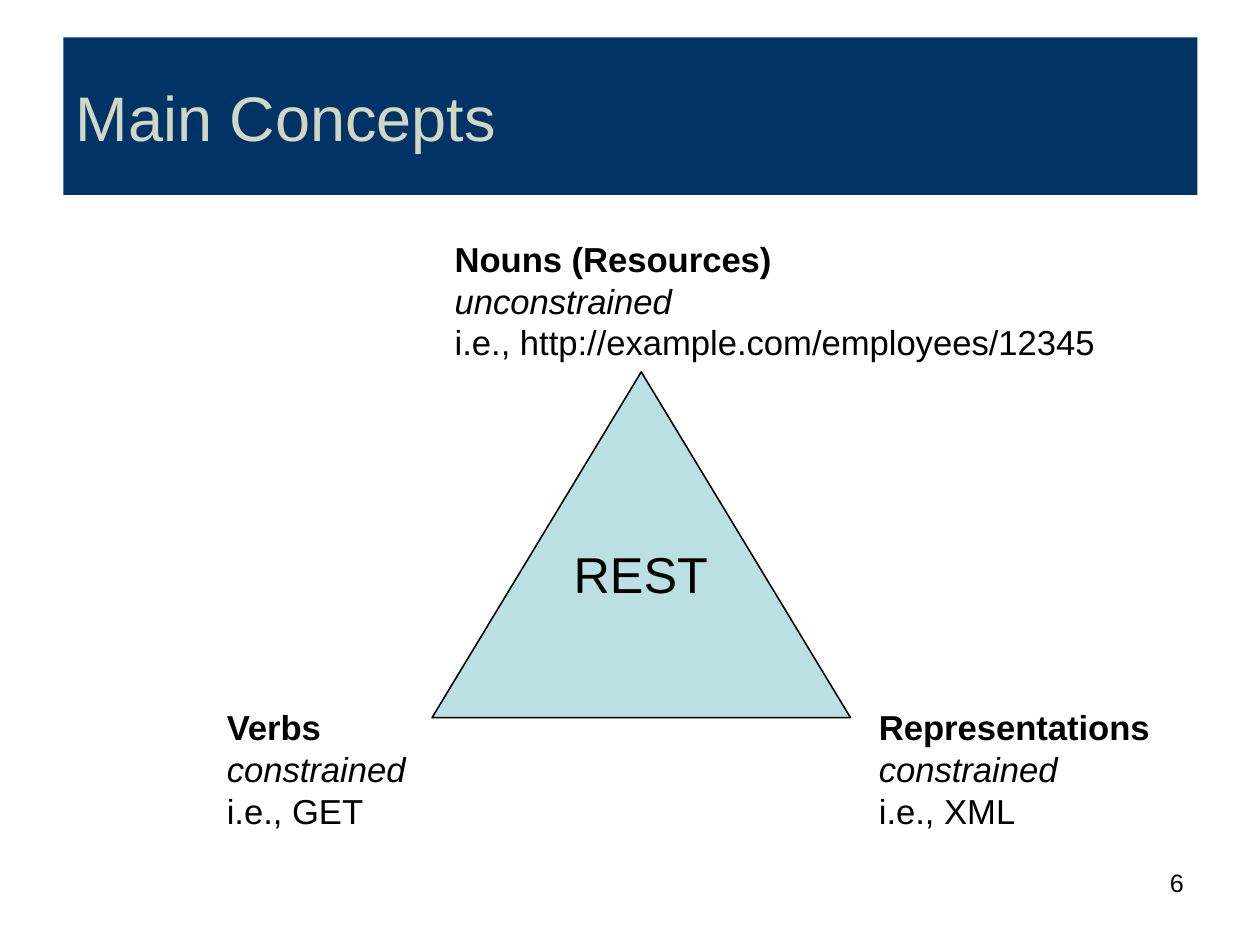
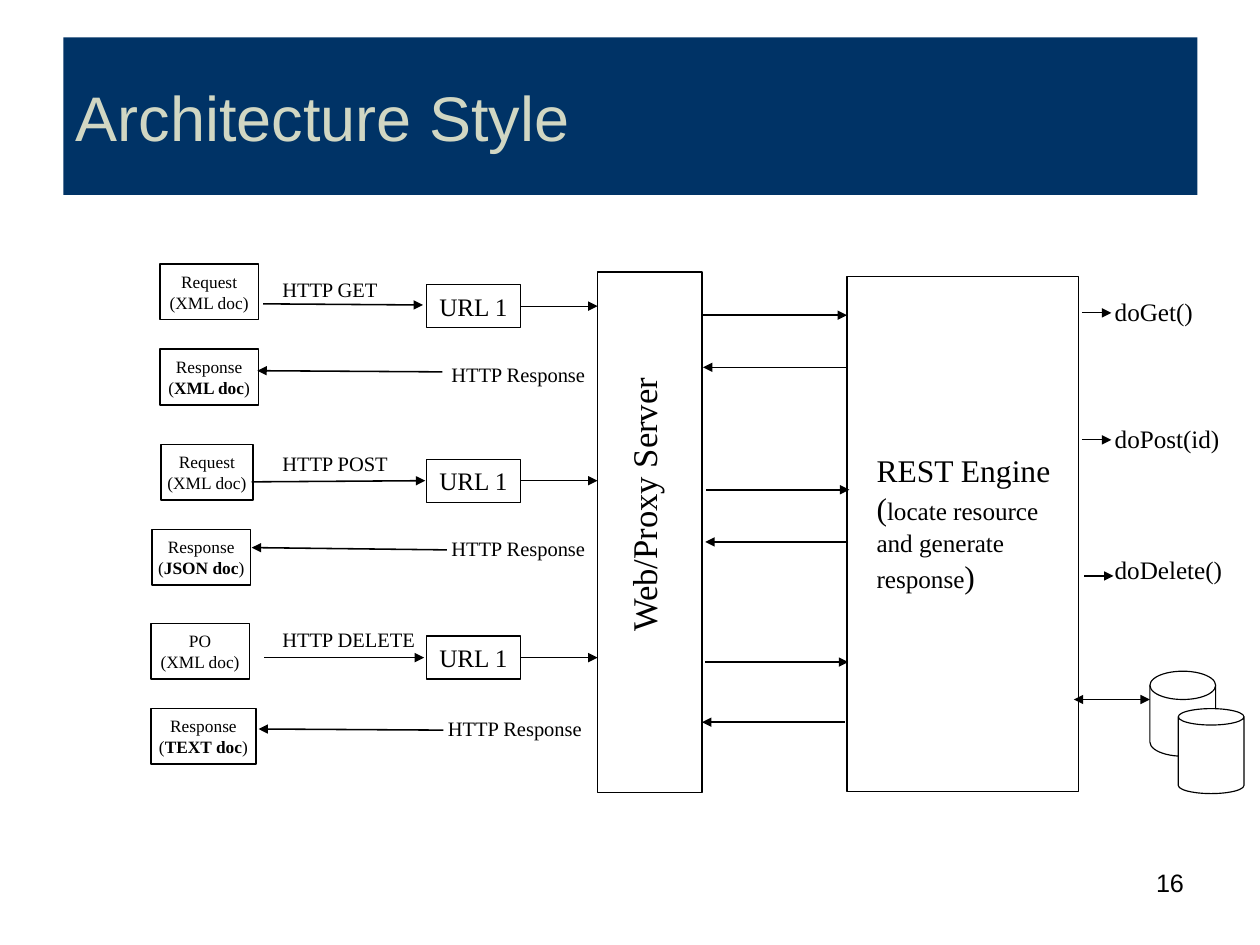
from lxml import etree
from pptx import Presentation
from pptx.dml.color import RGBColor
from pptx.enum.shapes import MSO_CONNECTOR, MSO_SHAPE
from pptx.enum.text import MSO_ANCHOR, MSO_AUTO_SIZE, PP_ALIGN
from pptx.oxml.ns import qn
from pptx.util import Emu, Pt

PX = 9144
WIDTH, HEIGHT = Emu(10160000), Emu(7621588)
NAVY = RGBColor(0x00, 0x33, 0x66)
SAGE = RGBColor(0xD1, 0xD7, 0xC3)
AQUA = RGBColor(0xBB, 0xE0, 0xE3)
BLACK = RGBColor(0x00, 0x00, 0x00)
WHITE = RGBColor(0xFF, 0xFF, 0xFF)
SANS, SERIF = "Arial", "Times New Roman"
LEFT, CENTER, RIGHT = PP_ALIGN.LEFT, PP_ALIGN.CENTER, PP_ALIGN.RIGHT
TOP, MIDDLE = MSO_ANCHOR.TOP, MSO_ANCHOR.MIDDLE
GROW = MSO_AUTO_SIZE.SHAPE_TO_FIT_TEXT
RECT, TRIANGLE = MSO_SHAPE.RECTANGLE, MSO_SHAPE.ISOSCELES_TRIANGLE
DISK, CAN = MSO_SHAPE.FLOWCHART_MAGNETIC_DISK, MSO_SHAPE.CAN
STRAIGHT = MSO_CONNECTOR.STRAIGHT
RIGHT_SIDE = 3
BOLD, ITALIC = {"bold": True}, {"italic": True}
BREAK = ("\n", {})
THIN, NORMAL = 0.75, 1

TITLE_BOX = (56, 33, 1000, 139)
NUMBER_BOX = (796, 759, 259, 58)

TRIANGLE_BOX = (381, 328, 369, 305)
REST_BOX = (496, 474, 140, 64)
CONCEPTS = [
    ((390, 204, 587, 121), "Nouns (Resources)", "unconstrained",
     "i.e., http://example.com/employees/12345"),
    ((189, 617, 180, 121), "Verbs", "constrained", "i.e., GET"),
    ((764, 617, 261, 121), "Representations", "constrained", "i.e., XML"),
]

SERVER_BOX = (527, 240, 92, 459)
SERVER_LABEL_BOX = (444, 421, 246, 48)
ENGINE_BOX = (747, 244, 204, 454)
ENGINE_LABEL_BOX = (762, 392, 177, 138)
ENGINE_TEXT = [
    [("REST Engine", {})],
    [("(", {}), ("locate resource and generate response", {"size": Pt(16)}), (")", {})],
]
DOC_H = 49
DOCUMENTS = [
    (141, 233, 87, "Request", "XML doc", {}),
    (141, 308, 87, "Response", "XML doc", BOLD),
    (142, 392, 81, "Request", "XML doc", {}),
    (134, 467, 87, "Response", "JSON doc", BOLD),
    (133, 550, 87, "PO", "XML doc", {}),
    (133, 625, 93, "Response", "TEXT doc", BOLD),
]
URL_X, URL_W, URL_H = 376, 83, 38
URL_TOPS = [251, 405, 561]
HTTP_LABELS = [
    (238, 238, 107, "HTTP GET"),
    (387, 313, 141, "HTTP Response"),
    (238, 392, 116, "HTTP POST"),
    (387, 467, 141, "HTTP Response"),
    (238, 547, 140, "HTTP DELETE"),
    (384, 626, 141, "HTTP Response"),
]
HANDLERS = [
    (255, 91, "doGet()", 954, 276),
    (367, 115, "doPost(id)", 954, 388),
    (483, 117, "doDelete()", 956, 508),
]
ARROWS = [
    (232, 268, 373, 269), (390, 328, 227, 327),
    (222, 425, 375, 424), (394, 485, 222, 483),
    (233, 580, 374, 580), (391, 644, 228, 643),
    (620, 278, 747, 278), (746, 324, 620, 324),
    (623, 432, 749, 432), (748, 478, 622, 478),
    (622, 584, 748, 584), (745, 637, 619, 637),
]
DISK_BOX = (1014, 592, 58, 75)
CAN_BOX = (1039, 625, 58, 75)
STORE_LINK = (947, 617, 1014, 617)


def emu(values):
    return [v * PX for v in values]


def write(shape, paragraphs, size, font, color=BLACK, align=LEFT, anchor=TOP,
          wrap=False, inset=(11, 6)):
    tf = shape.text_frame
    tf.word_wrap = wrap
    tf.vertical_anchor = anchor
    tf.margin_left = tf.margin_right = inset[0] * PX
    tf.margin_top = tf.margin_bottom = inset[1] * PX
    for i, runs in enumerate(paragraphs):
        p = tf.paragraphs[0] if i == 0 else tf.add_paragraph()
        p.alignment = align
        for text, style in runs:
            if text == "\n":
                p.add_line_break()
                continue
            r = p.add_run()
            r.text = text
            r.font.name = font
            r.font.size = Pt(size)
            r.font.color.rgb = color
            for key, value in style.items():
                setattr(r.font, key, value)


def label(s, box, paragraphs, size, font, wrap=False, **options):
    tb = s.shapes.add_textbox(*emu(box))
    write(tb, paragraphs, size, font, wrap=wrap, **options)
    if not wrap:
        tb.text_frame.auto_size = GROW
        tb.text_frame.word_wrap = False
    return tb


def shape(s, kind, box, fill=None, line=None):
    sp = s.shapes.add_shape(kind, *emu(box))
    sp.shadow.inherit = False
    if fill is None:
        sp.fill.background()
    else:
        sp.fill.solid()
        sp.fill.fore_color.rgb = fill
    if line is None:
        sp.line.fill.background()
    else:
        sp.line.color.rgb = BLACK
        sp.line.width = Pt(line)
    return sp


def arrow(s, ends, width=NORMAL, both=False):
    c = s.shapes.add_connector(STRAIGHT, *emu(ends))
    c.line.color.rgb = BLACK
    c.line.width = Pt(width)
    ln = c._element.spPr.find(qn("a:ln"))
    for tag in ("a:headEnd", "a:tailEnd") if both else ("a:tailEnd",):
        etree.SubElement(ln, qn(tag), type="triangle")
    etree.SubElement(c._element.spPr, qn("a:effectLst"))
    return c


def new_slide(prs, title, number):
    s = prs.slides.add_slide(prs.slide_layouts[6])
    band = shape(s, RECT, TITLE_BOX, NAVY)
    write(band, [[(title, {})]], 40, SANS, SAGE, anchor=MIDDLE, wrap=True)
    label(s, NUMBER_BOX, [[(number, {})]], 16, SANS, align=RIGHT, wrap=True)
    return s


def build_concepts(prs):
    s = new_slide(prs, "Main Concepts", "6")
    shape(s, TRIANGLE, TRIANGLE_BOX, AQUA, NORMAL)
    for box, name, kind, example in CONCEPTS:
        runs = [(name, BOLD), BREAK, (kind, ITALIC), BREAK, (example, {})]
        label(s, box, [runs], 22, SANS)
    label(s, REST_BOX, [[("REST", {})]], 32, SANS, inset=(10, 5))


def build_architecture(prs):
    s = new_slide(prs, "Architecture Style", "16")
    shape(s, RECT, SERVER_BOX, WHITE, NORMAL)
    server_label = label(s, SERVER_LABEL_BOX, [[("Web/Proxy Server", {})]], 22, SERIF)
    server_label.rotation = 270
    shape(s, RECT, ENGINE_BOX, WHITE, NORMAL)
    label(s, ENGINE_LABEL_BOX, ENGINE_TEXT, 20, SERIF, wrap=True)

    for x, y, w, name, doc, style in DOCUMENTS:
        sp = shape(s, RECT, (x, y, w, DOC_H), WHITE, NORMAL)
        write(sp, [[(name, {})], [("(", {}), (doc, style), (")", {})]], 11, SERIF,
              align=CENTER, anchor=MIDDLE, wrap=True, inset=(0, 0))
    for x, y, w, text in HTTP_LABELS:
        label(s, (x, y, w, 33), [[(text, {})]], 13, SERIF)

    for y in URL_TOPS:
        url = shape(s, RECT, (URL_X, y, URL_W, URL_H), line=THIN)
        write(url, [[("URL 1", {})]], 16, SERIF, align=CENTER, anchor=MIDDLE)
        mid = y + URL_H // 2
        link = arrow(s, (URL_X + URL_W, mid, SERVER_BOX[0], mid), THIN)
        link.begin_connect(url, RIGHT_SIDE)

    for y, w, text, arrow_x, arrow_y in HANDLERS:
        label(s, (972, y, w, 38), [[(text, {})]], 16, SERIF)
        arrow(s, (arrow_x, arrow_y, arrow_x + 26, arrow_y), THIN)
    for ends in ARROWS:
        arrow(s, ends)

    shape(s, DISK, DISK_BOX, line=THIN)
    shape(s, CAN, CAN_BOX, WHITE, THIN)
    arrow(s, STORE_LINK, THIN, both=True)


def main():
    prs = Presentation()
    prs.slide_width, prs.slide_height = WIDTH, HEIGHT
    build_concepts(prs)
    build_architecture(prs)
    prs.save("out.pptx")


if __name__ == "__main__":
    main()
